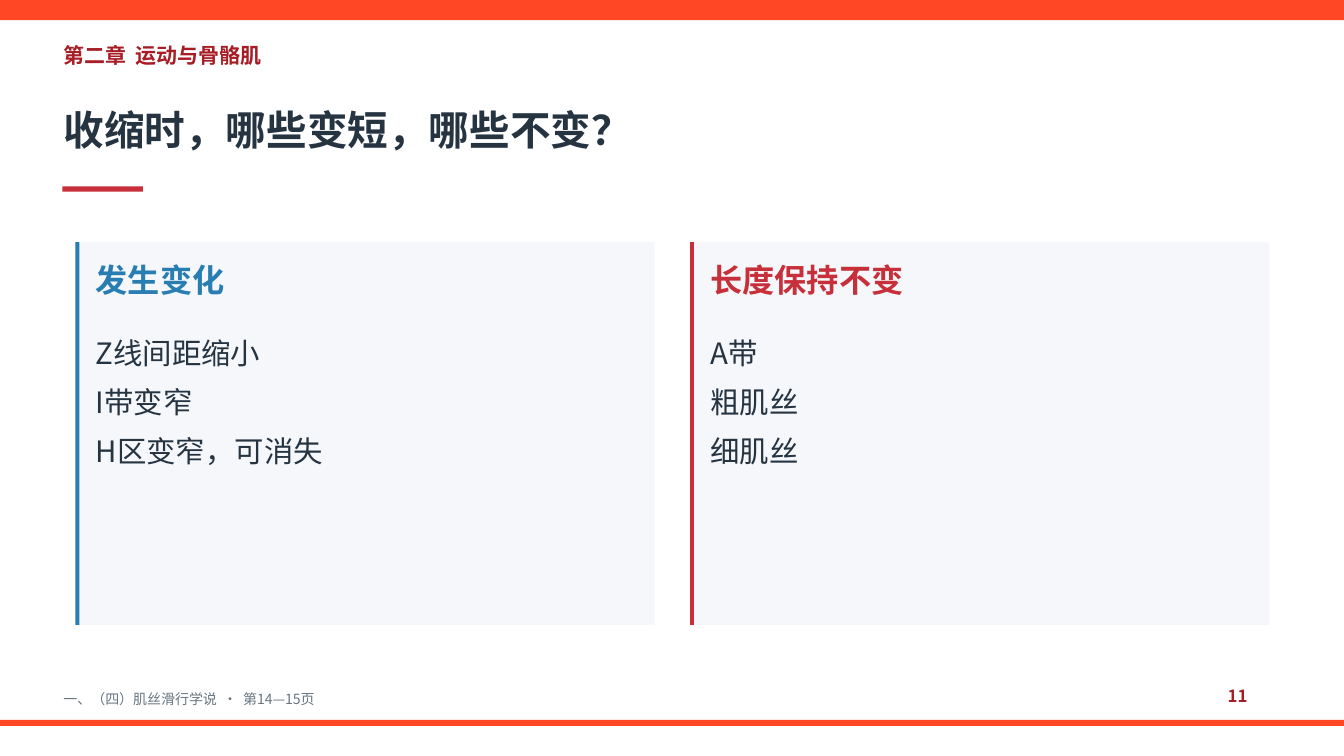
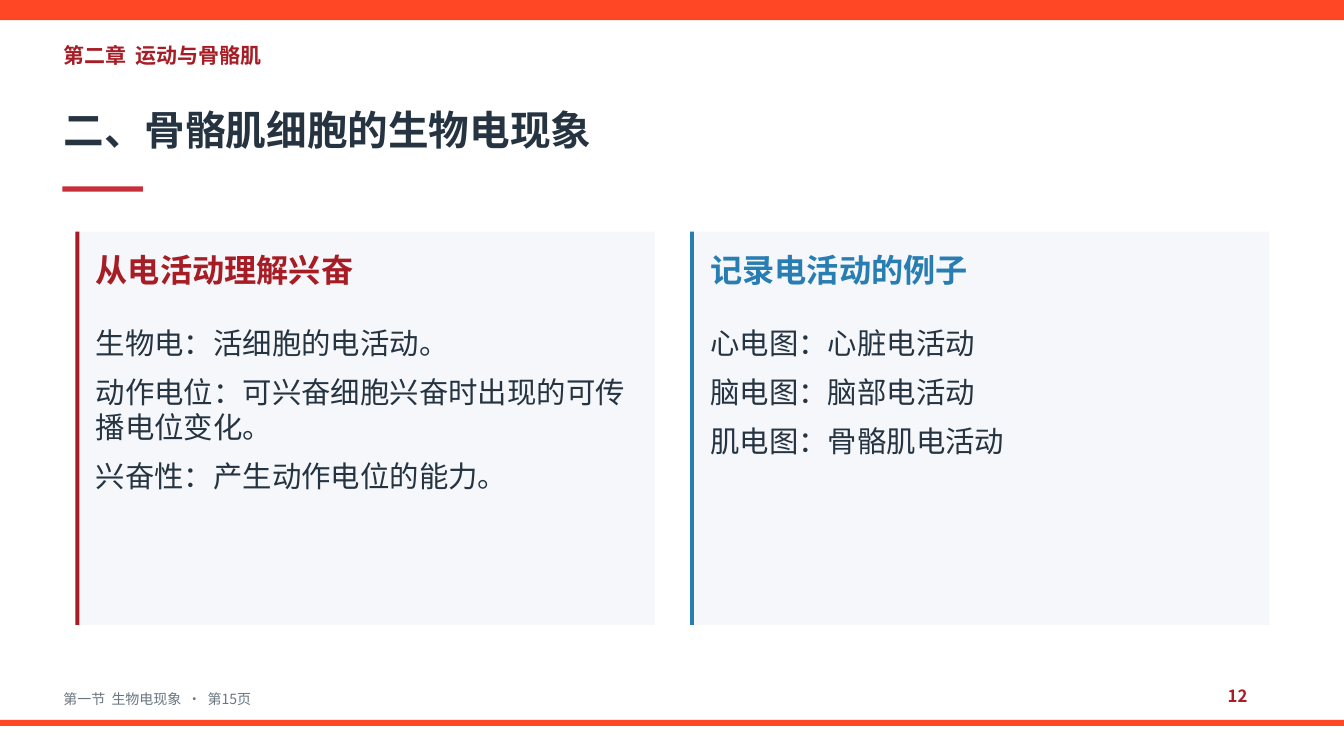
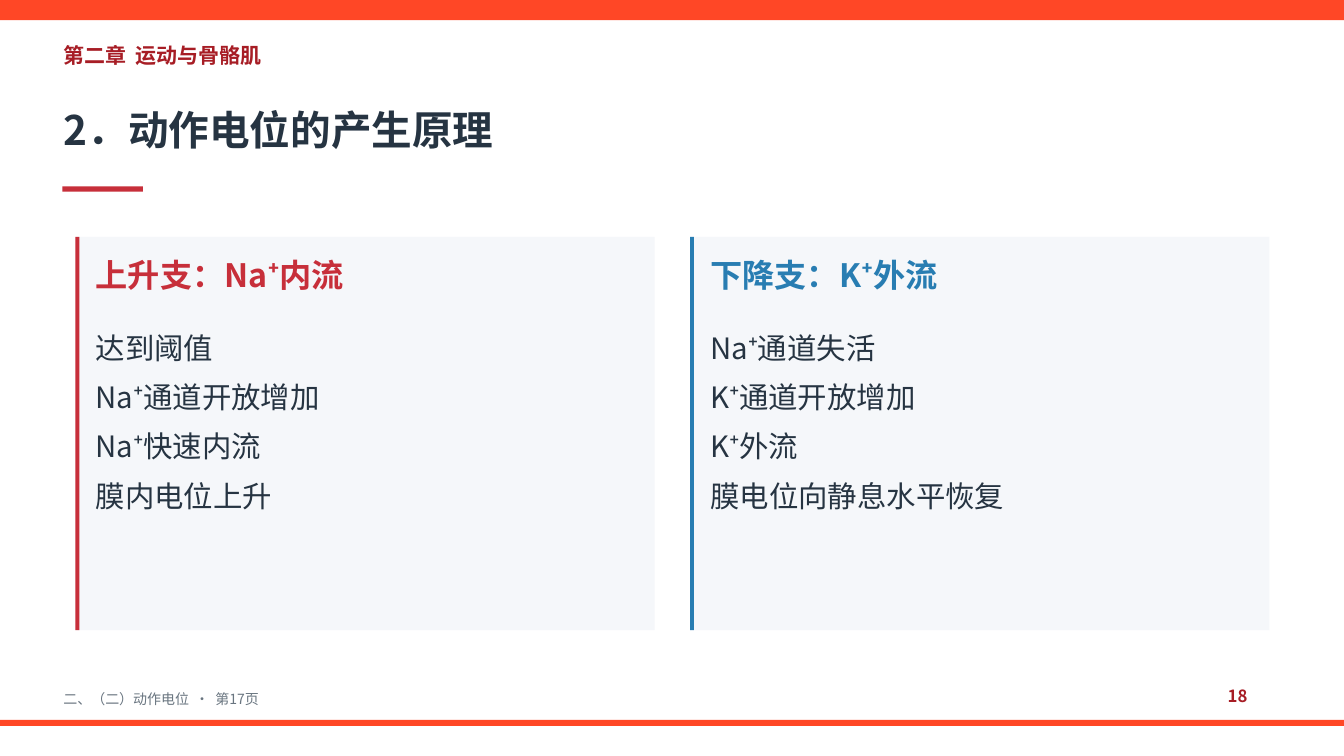
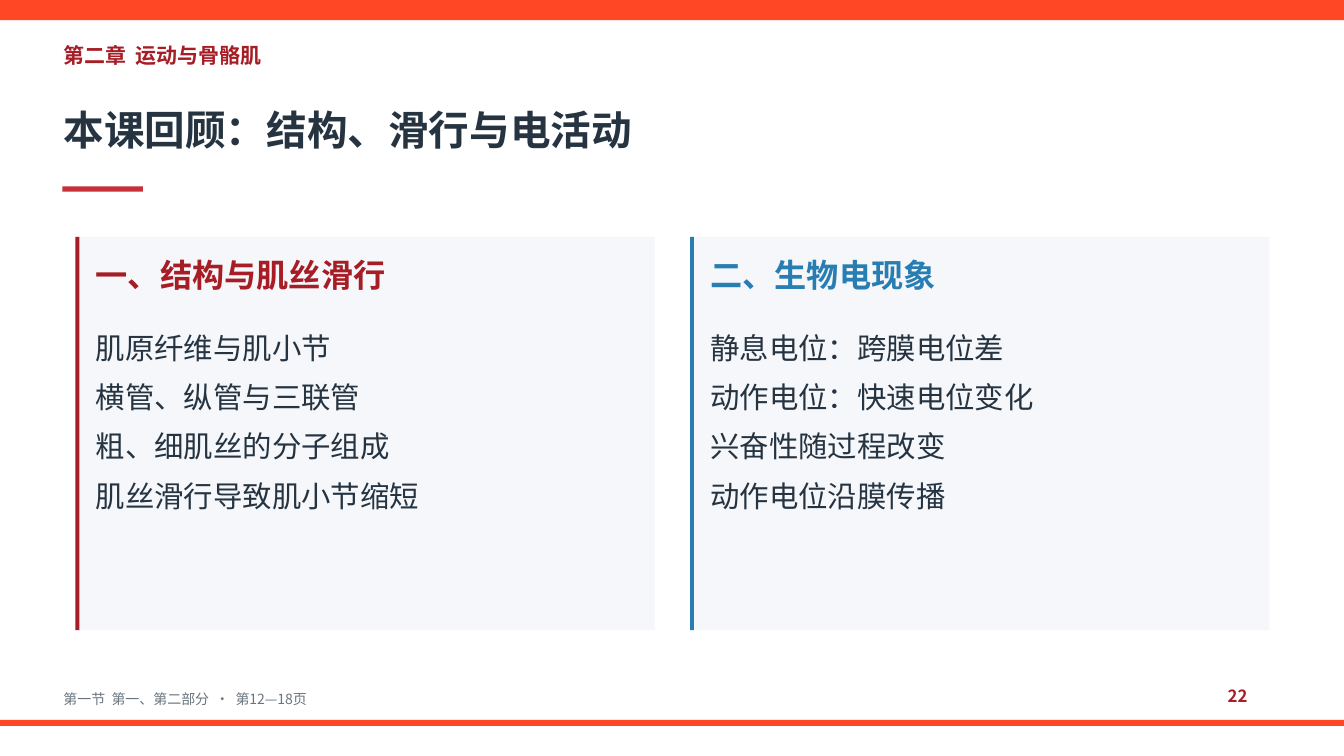
from lxml.etree import SubElement
from pptx import Presentation
from pptx.dml.color import RGBColor
from pptx.enum.shapes import MSO_SHAPE as SHAPE
from pptx.enum.text import MSO_ANCHOR as ANCHOR, MSO_AUTO_SIZE as FIT, PP_ALIGN as ALIGN
from pptx.oxml.ns import qn
from pptx.util import Cm, Pt

# Shared style
FONT = "Noto Sans CJK SC"
ORANGE = RGBColor(0xFF, 0x47, 0x26)
DARK = RGBColor(0xA7, 0x1D, 0x25)
RED = RGBColor(0xC7, 0x2F, 0x3A)
BLUE = RGBColor(0x28, 0x7D, 0xB2)
INK = RGBColor(0x26, 0x34, 0x42)
GREY = RGBColor(0x69, 0x75, 0x80)
PALE = RGBColor(0xF5, 0xF7, 0xFA)
WIDTH, HEIGHT = 33.87, 19.05
CHAPTER = "第二章  运动与骨骼肌"

# Card grid, in centimetres
LEFT, STEP, WIDE = 1.9, 15.49, 14.6
INSET, TEXT_W = 0.43, 13.84

# Title, footer, page, card top, card height, two cards
PAGES = [
    ("收缩时，哪些变短，哪些不变？", "一、（四）肌丝滑行学说  ·  第14—15页", 11, 6.1, 9.65, [
        ("发生变化", BLUE, ["Z线间距缩小", "I带变窄", "H区变窄，可消失"]),
        ("长度保持不变", RED, ["A带", "粗肌丝", "细肌丝"])]),
    ("二、骨骼肌细胞的生物电现象", "第一节  生物电现象  ·  第15页", 12, 5.84, 9.91, [
        ("从电活动理解兴奋", DARK, [
            "生物电：活细胞的电活动。",
            "动作电位：可兴奋细胞兴奋时出现的可传播电位变化。",
            "兴奋性：产生动作电位的能力。"]),
        ("记录电活动的例子", BLUE, [
            "心电图：心脏电活动", "脑电图：脑部电活动", "肌电图：骨骼肌电活动"])]),
    ("2．动作电位的产生原理", "二、（二）动作电位  ·  第17页", 18, 5.97, 9.91, [
        ("上升支：Na⁺内流", RED, [
            "达到阈值", "Na⁺通道开放增加", "Na⁺快速内流", "膜内电位上升"]),
        ("下降支：K⁺外流", BLUE, [
            "Na⁺通道失活", "K⁺通道开放增加", "K⁺外流", "膜电位向静息水平恢复"])]),
    ("本课回顾：结构、滑行与电活动", "第一节  第一、第二部分  ·  第12—18页", 22, 5.97, 9.91, [
        ("一、结构与肌丝滑行", DARK, [
            "肌原纤维与肌小节", "横管、纵管与三联管",
            "粗、细肌丝的分子组成", "肌丝滑行导致肌小节缩短"]),
        ("二、生物电现象", BLUE, [
            "静息电位：跨膜电位差", "动作电位：快速电位变化",
            "兴奋性随过程改变", "动作电位沿膜传播"])]),
]


def block(slide, x, y, w, h, color):
    shape = slide.shapes.add_shape(SHAPE.RECTANGLE, Cm(x), Cm(y), Cm(w), Cm(h))
    shape.shadow.inherit = False
    shape.fill.solid()
    shape.fill.fore_color.rgb = color
    shape.line.fill.background()


def write(slide, lines, x, y, w, h, size, color, bold=False, holder=None):
    """Write lines in a placeholder, or in a new text box."""
    spot = Cm(x), Cm(y), Cm(w), Cm(h)
    box = holder or slide.shapes.add_textbox(*spot)
    box.left, box.top, box.width, box.height = spot
    slide.shapes.element.append(box.element)  # bring to front
    frame = box.text_frame
    frame.word_wrap = True
    frame.auto_size = FIT.SHAPE_TO_FIT_TEXT
    frame.vertical_anchor = ANCHOR.TOP
    frame.margin_left = frame.margin_right = Cm(0.08)
    frame.margin_top, frame.margin_bottom = Cm(0.05), 0
    for i, line in enumerate(lines):
        para = frame.add_paragraph() if i else frame.paragraphs[0]
        props = para._p.get_or_add_pPr()
        props.set("marL", "0")
        props.set("indent", "0")
        SubElement(props, qn("a:buNone"))
        para.alignment = ALIGN.LEFT
        para.space_before, para.space_after = 0, Pt(10)
        run = para.add_run()
        run.text = line
        font = run.font
        font.name, font.size, font.bold = FONT, Pt(size), bold
        font.color.rgb = color
        SubElement(run._r.get_or_add_rPr(), qn("a:ea"), typeface=FONT)


deck = Presentation()
deck.slide_width, deck.slide_height = Cm(WIDTH), Cm(HEIGHT)
layout = deck.slide_layouts.get_by_name("Comparison")

for title, foot, page, top, high, cards in PAGES:
    slide = deck.slides.add_slide(layout)
    head, *bodies = slide.placeholders

    # Bands, chapter and title
    block(slide, 0, 0, WIDTH, 0.51, ORANGE)
    write(slide, [CHAPTER], 1.52, 1.02, 29.97, 0.89, 15, DARK, bold=True)
    write(slide, [title], 1.52, 2.59, 30.73, 1.65, 29, INK, bold=True, holder=head)
    block(slide, 1.57, 4.7, 2.03, 0.13, RED)

    # Footer
    write(slide, [foot], 1.52, 17.35, 29.46, 0.58, 10, GREY)
    write(slide, [str(page)], 30.86, 17.22, 1.4, 0.76, 12, DARK, bold=True)
    block(slide, 0, 18.14, WIDTH, 0.15, ORANGE)

    # Two cards, each with a heading and a list
    for i, (name, color, lines) in enumerate(cards):
        x = LEFT + i * STEP
        block(slide, x, top, WIDE, high, PALE)
        block(slide, x, top, 0.1, high, color)
        write(slide, [name], x + INSET, top + 0.41, TEXT_W, 1.27, 23, color,
              bold=True, holder=bodies[2 * i])
        write(slide, lines, x + INSET, top + 2.29, TEXT_W, high - 2.54, 21, INK,
              holder=bodies[2 * i + 1])

deck.save("out.pptx")
